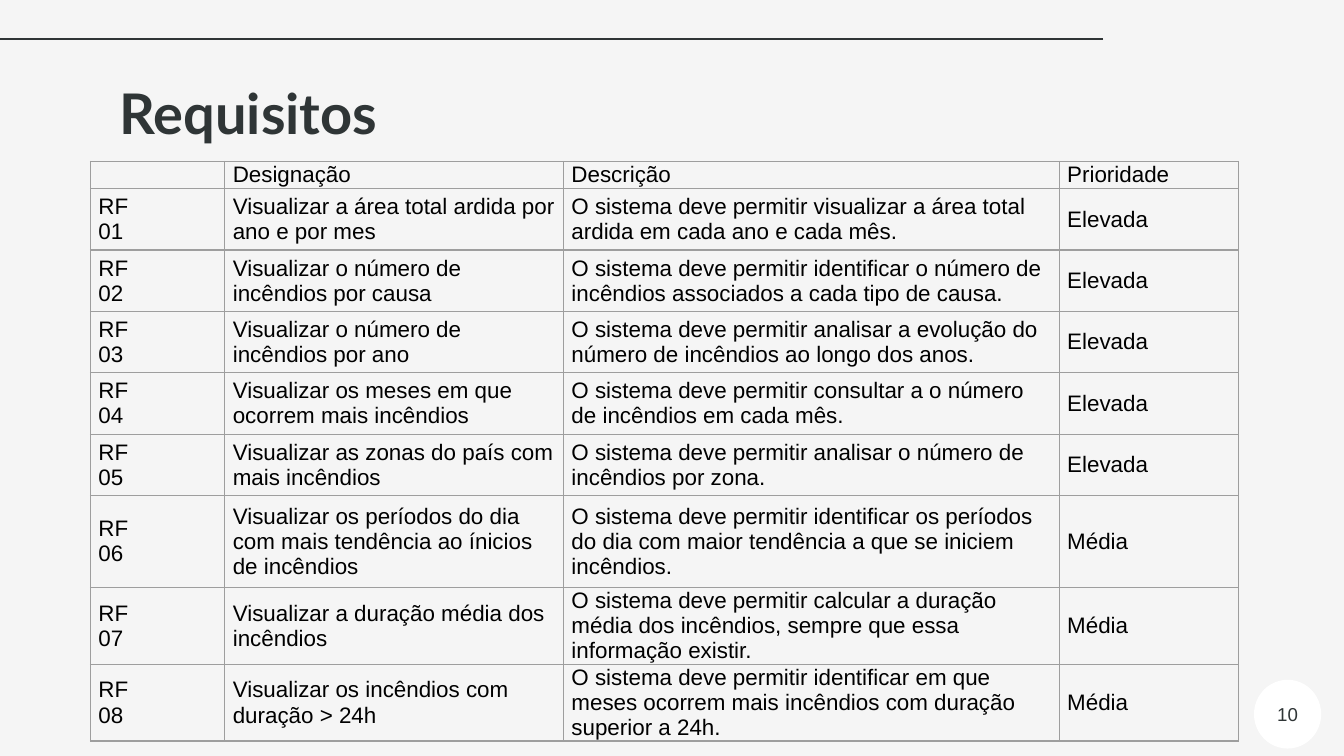
from lxml.etree import SubElement
from pptx import Presentation
from pptx.dml.color import RGBColor
from pptx.enum.shapes import MSO_CONNECTOR as Connector, MSO_SHAPE as Shape
from pptx.enum.text import MSO_ANCHOR as Anchor, PP_ALIGN as Align
from pptx.oxml.ns import qn
from pptx.util import Cm, Pt

DARK, BLACK, GREY = "2F3536", "000000", "9E9E9E"


def color(value):
    return RGBColor.from_string(value)


def format_text(frame, size, name, hex_color, bold=False, align=Align.LEFT):
    for paragraph in frame.paragraphs:
        paragraph.alignment = align
        for run in paragraph.runs:
            run.font.color.rgb = color(hex_color)
            for key, value in {"size": Pt(size), "name": name, "bold": bold}.items():
                setattr(run.font, key, value)


presentation = Presentation()
presentation.slide_width, presentation.slide_height = Cm(25.4), Cm(14.29)
slide = presentation.slides.add_slide(presentation.slide_layouts[5])
slide.background.fill.solid()
slide.background.fill.fore_color.rgb = color("F5F5F5")

rule = slide.shapes.add_connector(Connector.STRAIGHT, Cm(20.85), Cm(0.74), Cm(-0.13), Cm(0.74))
rule.line.color.rgb = color(DARK)
rule.line.width = Pt(0.75)
SubElement(rule._element.spPr, qn("a:effectLst"))

title = slide.shapes.title
title_box = {"left": Cm(2.01), "top": Cm(1.24), "width": Cm(21.41), "height": Cm(1.6)}
for key, value in title_box.items():
    setattr(title, key, value)
title.text_frame.text = "Requisitos"
title.text_frame.vertical_anchor = Anchor.TOP
for side in ("left", "top", "right", "bottom"):
    setattr(title.text_frame, f"margin_{side}", Cm(0.25))
format_text(title.text_frame, 30, "Lato", DARK, bold=True)

badge = slide.shapes.add_shape(Shape.OVAL, Cm(23.7), Cm(12.85), Cm(1.27), Cm(1.3))
badge.shadow.inherit = False
badge.fill.solid()
badge.fill.fore_color.rgb = color("FFFFFF")
badge.line.fill.background()
badge.text_frame.text = "10"
badge.text_frame.vertical_anchor = Anchor.MIDDLE
badge.text_frame.word_wrap = False
format_text(badge.text_frame, 10, "Arial", DARK, align=Align.CENTER)

requirements = [
    ("Visualizar a área total ardida por ano e por mes",
     "O sistema deve permitir visualizar a área total ardida em cada ano e cada mês.", "Elevada"),
    ("Visualizar o número de incêndios por causa",
     "O sistema deve permitir identificar o número de incêndios associados a cada tipo de causa.",
     "Elevada"),
    ("Visualizar o número de incêndios por ano",
     "O sistema deve permitir analisar a evolução do número de incêndios ao longo dos anos.",
     "Elevada"),
    ("Visualizar os meses em que ocorrem mais incêndios",
     "O sistema deve permitir consultar a o número de incêndios em cada mês.", "Elevada"),
    ("Visualizar as zonas do país com mais incêndios",
     "O sistema deve permitir analisar o número de incêndios por zona.", "Elevada"),
    ("Visualizar os períodos do dia com mais tendência ao ínicios de incêndios",
     "O sistema deve permitir identificar os períodos do dia com maior tendência "
     "a que se iniciem incêndios.", "Média"),
    ("Visualizar a duração média dos incêndios",
     "O sistema deve permitir calcular a duração média dos incêndios, sempre que essa "
     "informação existir.", "Média"),
    ("Visualizar os incêndios com duração > 24h",
     "O sistema deve permitir identificar em que meses ocorrem mais incêndios com duração "
     "superior a 24h.", "Média"),
]
rows = [("", "Designação", "Descrição", "Prioridade")]
rows += [(f"RF\n{number:02}", *texts) for number, texts in enumerate(requirements, 1)]
column_widths = [2.54, 6.4, 9.37, 3.38]
row_heights = [0.49] + [1.16] * 5 + [1.74] + [1.45] * 2

table = slide.shapes.add_table(len(rows), len(column_widths), Cm(1.71), Cm(3.05),
                               Cm(sum(column_widths)), Cm(sum(row_heights))).table
table.first_row = table.horz_banding = False
for column, width in zip(table.columns, column_widths):
    column.width = Cm(width)

cell_format = {"margin_left": Cm(0.15), "margin_right": Cm(0.15), "margin_top": 0,
               "margin_bottom": 0, "vertical_anchor": Anchor.MIDDLE}
for row, height, texts in zip(table.rows, row_heights, rows):
    row.height = Cm(height)
    for cell, text in zip(row.cells, texts):
        for key, value in cell_format.items():
            setattr(cell, key, value)
        cell.text = text
        format_text(cell.text_frame, 12, "Arial", BLACK)
        if not text:
            SubElement(cell.text_frame.paragraphs[0]._p, qn("a:endParaRPr"), sz="1200")
        properties = cell._tc.get_or_add_tcPr()
        for edge in ("lnL", "lnR", "lnT", "lnB"):
            border = SubElement(properties, qn(f"a:{edge}"), w=str(Pt(0.75)))
            SubElement(SubElement(border, qn("a:solidFill")), qn("a:srgbClr"), val=GREY)
        cell.fill.background()

presentation.save("out.pptx")
